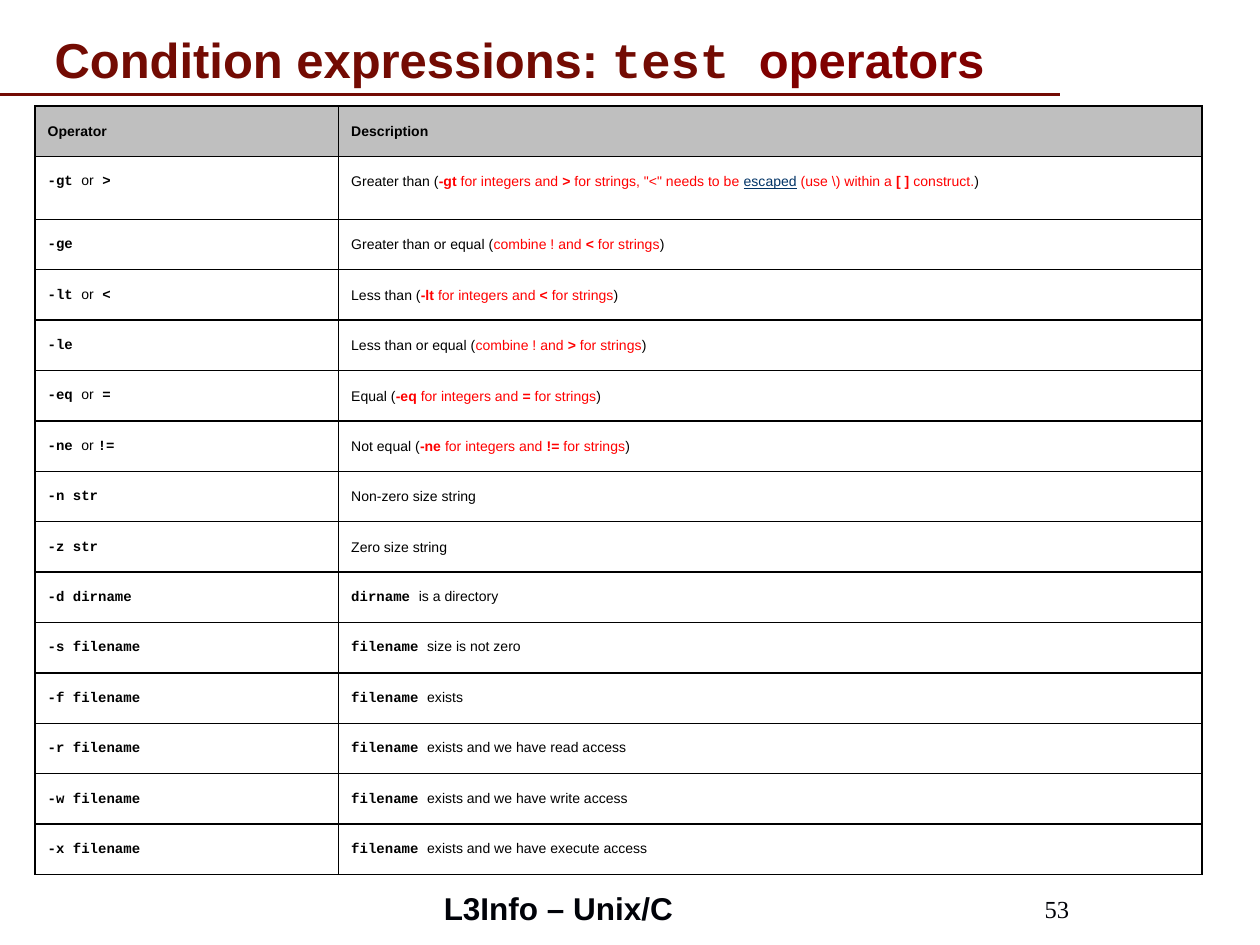
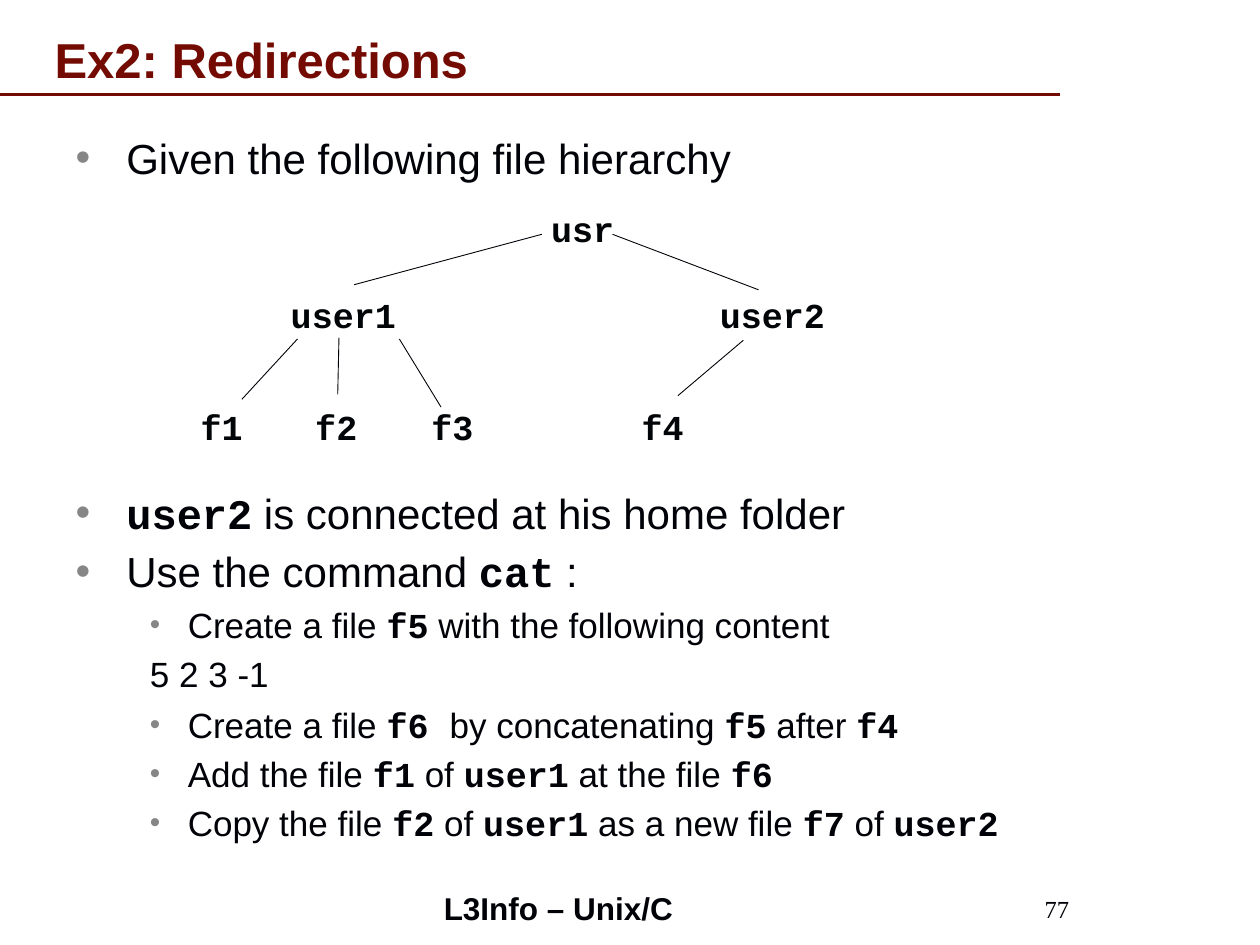
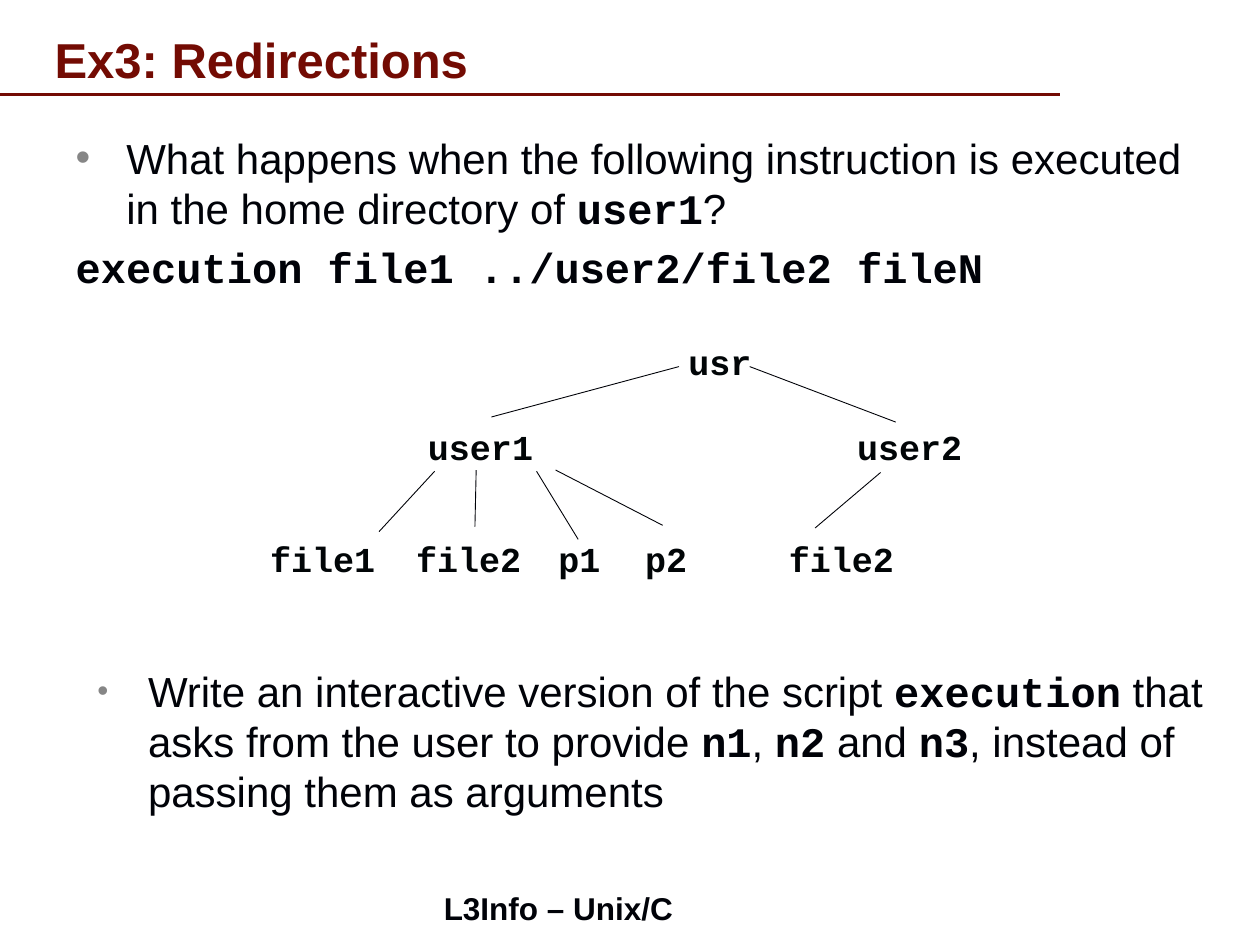
from lxml.etree import SubElement
from pptx import Presentation
from pptx.dml.color import RGBColor
from pptx.enum.shapes import MSO_CONNECTOR
from pptx.enum.text import MSO_ANCHOR, MSO_AUTO_SIZE, PP_ALIGN
from pptx.oxml.ns import qn
from pptx.util import Pt

# Shared colours and fonts
DARK_RED = RGBColor(0x73, 0x0B, 0x03)
MAROON = RGBColor(0x80, 0x00, 0x00)
INK = RGBColor(0x00, 0x02, 0x08)
NODE_INK = RGBColor(0x01, 0x05, 0x07)
BLACK = RGBColor(0x00, 0x00, 0x00)
RED = RGBColor(0xFF, 0x00, 0x00)
LINK_BLUE = RGBColor(0x00, 0x33, 0x66)
HEADER_GREY = RGBColor(0xBF, 0xBF, 0xBF)
BULLET_GREY = RGBColor(0x86, 0x86, 0x86)
SANS, MONO, SERIF = "Arial", "Courier New", "Times New Roman"

# Boxes: left, top, width, height in points
TITLE_BOX = (24, 12, 612, 42)
BODY_BOX = (36, 72, 650, 414)
FOOTER_BOX = (246.5, 504, 228, 30)
NUMBER_BOX = (499, 504, 119, 30)
TABLE_BOX = (20, 60.5, 667, 439)
QUESTION_BOX = (48.5, 376.5, 650, 143)

TITLE_ONLY, TITLE_AND_BODY = 5, 1

# Markup: `code`, *bold*, ~accent colour~, _underlined term_
MARKERS = "`*~_"

OPERATORS = [
    ("*Operator*", "*Description*"),
    ("`-gt `or` >`", 'Greater than (~*-gt *for integers and *>* for strings, "<" needs to be ~'
     "_escaped_~ (use \\) within a *[ ]* construct.~)"),
    ("`-ge `", "Greater than or equal (~combine ! and *<* for strings~)"),
    ("`-lt `or` <`", "Less than (~*-lt *for integers and *<* for strings~)"),
    ("`-le`", "Less than or equal (~combine ! and *>* for strings~)"),
    ("`-eq `or` =`", "Equal (~*-eq *for integers and *=* for strings~)"),
    ("`-ne `or `!=`", "Not equal (~*-ne *for integers and *!=* for strings~)"),
    ("`-n str`", "Non-zero size string"),
    ("`-z str`", "Zero size string"),
    ("`-d dirname`", "`dirname `is a directory"),
    ("`-s filename`", "`filename `size is not zero"),
    ("`-f filename`", "`filename `exists"),
    ("`-r filename`", "`filename `exists and we have read access"),
    ("`-w filename`", "`filename `exists and we have write access"),
    ("`-x filename`", "`filename `exists and we have execute access"),
]

# Tree parts relative to the tree's corner: nodes are (text, left, top, width)
LEAF_TOP = 113
TREE_NODES = [("usr", 188.6, 0, 68.4), ("user1", 44.6, 49, 82.8), ("user2", 275.8, 49, 110.9)]
TREE_EDGES = [
    (92.2, 47.5, 199.4, 18.7), (239.8, 18.7, 323.3, 50.4), (28, 113, 59.8, 78.5),
    (82.8, 110.2, 83.5, 77.8), (118, 78.5, 141.8, 117.4), (277.2, 110.9, 314.6, 79.2),
]


def add_text(paragraph, text, size=24, color=INK, accent=RED, font=SANS, bold=False):
    """Write marked-up text as formatted runs."""
    active = set()

    def flush(piece):
        if not piece:
            return
        run = paragraph.add_run()
        run.text = piece
        run.font.size = Pt(size)
        run.font.name = MONO if "`" in active else font
        run.font.bold = bold or bool(active & {"`", "*"})
        run.font.color.rgb = (LINK_BLUE if "_" in active
                              else accent if "~" in active else color)
        if "_" in active:
            run.font.underline = True

    piece = ""
    for character in text:
        if character in MARKERS:
            flush(piece)
            piece = ""
            active ^= {character}
        else:
            piece += character
    flush(piece)


def place(shape, box):
    shape.left, shape.top, shape.width, shape.height = map(Pt, box)


def set_bullet(paragraph, left, hanging=0, percent=100):
    """Indent a paragraph; a hanging indent brings a grey bullet."""
    properties = paragraph._p.get_or_add_pPr()
    properties.set("marL", str(Pt(left)))
    properties.set("indent", str(-Pt(hanging)))
    if not hanging:
        SubElement(properties, qn("a:buNone"))
        return
    color = SubElement(properties, qn("a:buClr"))
    SubElement(color, qn("a:srgbClr")).set("val", str(BULLET_GREY))
    SubElement(properties, qn("a:buSzPct")).set("val", str(percent * 1000))
    SubElement(properties, qn("a:buFont")).set("typeface", SANS)
    SubElement(properties, qn("a:buChar")).set("char", "•")


def add_line(slide, start_x, start_y, end_x, end_y, color, width):
    line = slide.shapes.add_connector(
        MSO_CONNECTOR.STRAIGHT, Pt(start_x), Pt(start_y), Pt(end_x), Pt(end_y))
    line.line.color.rgb = color
    line.line.width = Pt(width)
    SubElement(line._element.spPr, qn("a:effectLst"))


def add_label(slide, box, text, align=PP_ALIGN.LEFT, anchor=MSO_ANCHOR.TOP, inset=7.2, **style):
    shape = slide.shapes.add_textbox(*map(Pt, box))
    frame = shape.text_frame
    frame.word_wrap = True
    frame.vertical_anchor = anchor
    frame.margin_left = frame.margin_right = Pt(inset)
    paragraph = frame.paragraphs[0]
    paragraph.alignment = align
    add_text(paragraph, text, **style)
    return paragraph


def add_slide(presentation, layout, title, number=None):
    """Start a slide with its title, rule and footer."""
    slide = presentation.slides.add_slide(presentation.slide_layouts[layout])
    add_line(slide, 0, 54, 606, 54, DARK_RED, 2.25)
    place(slide.shapes.title, TITLE_BOX)
    frame = slide.shapes.title.text_frame
    frame.auto_size = MSO_AUTO_SIZE.NONE
    frame.vertical_anchor = MSO_ANCHOR.BOTTOM
    frame.paragraphs[0].alignment = PP_ALIGN.LEFT
    add_text(frame.paragraphs[0], title, size=28, color=DARK_RED, accent=MAROON, bold=True)
    add_label(slide, FOOTER_BOX, "L3Info – Unix/C", anchor=MSO_ANCHOR.MIDDLE, size=18, bold=True)
    if number:
        add_label(slide, NUMBER_BOX, number, align=PP_ALIGN.RIGHT,
                  anchor=MSO_ANCHOR.MIDDLE, size=14, font=SERIF)
    return slide


def fill_body(slide, items):
    """Fill the body with (text, level, has bullet, space before)."""
    body = slide.placeholders[1]
    place(body, BODY_BOX)
    frame = body.text_frame
    frame.auto_size = MSO_AUTO_SIZE.NONE
    for index, (text, level, has_bullet, space) in enumerate(items):
        paragraph = frame.paragraphs[0] if index == 0 else frame.add_paragraph()
        paragraph.level = level
        hanging = (29, 21.6)[level] if has_bullet else 0
        set_bullet(paragraph, (0, 42.5)[level] + hanging, hanging, (100, 85)[level])
        paragraph.space_before = Pt(space)
        add_text(paragraph, text, size=(24, 20)[level])


def set_borders(cell):
    properties = cell._tc.get_or_add_tcPr()
    for index, side in enumerate(("lnL", "lnR", "lnT", "lnB")):
        border = properties.makeelement(qn(f"a:{side}"), {"w": str(Pt(1))})
        fill = SubElement(border, qn("a:solidFill"))
        SubElement(fill, qn("a:srgbClr")).set("val", str(BLACK))
        properties.insert(index, border)


def add_operator_table(slide, box):
    table = slide.shapes.add_table(len(OPERATORS), 2, *map(Pt, box)).table
    table.first_row = table.horz_banding = False
    table.columns[0].width = Pt(173.5)
    table.columns[1].width = Pt(box[2] - 173.5)
    for row_index, texts in enumerate(OPERATORS):
        table.rows[row_index].height = Pt(36 if row_index == 1 else 28.8)
        for column_index, text in enumerate(texts):
            cell = table.cell(row_index, column_index)
            if row_index == 0:
                cell.fill.solid()
                cell.fill.fore_color.rgb = HEADER_GREY
            else:
                cell.fill.background()
            set_borders(cell)
            paragraph = cell.text_frame.paragraphs[0]
            paragraph.line_spacing = Pt(15.6)
            add_text(paragraph, text, size=8, color=BLACK)


def add_tree(slide, left, top, leaves, extra_edges=()):
    """Draw the file hierarchy; leaves are (text, left, width)."""
    leaf_nodes = [(text, x, LEAF_TOP, width) for text, x, width in leaves]
    for text, x, y, width in TREE_NODES + leaf_nodes:
        add_label(slide, (left + x, top + y, width, 29), text, align=PP_ALIGN.CENTER,
                  inset=1.44, size=20, color=NODE_INK, font=MONO, bold=True)
    for start_x, start_y, end_x, end_y in [*TREE_EDGES, *extra_edges]:
        add_line(slide, left + start_x, top + start_y, left + end_x, top + end_y, INK, 0.5)


def build_operators(presentation):
    slide = add_slide(presentation, TITLE_ONLY,
                      "Condition expressions: `test `~operators~", "53")
    add_operator_table(slide, TABLE_BOX)


def build_exercise_two(presentation):
    slide = add_slide(presentation, TITLE_AND_BODY, "Ex2: Redirections", "77")
    fill_body(slide, [
        ("Given the following file hierarchy", 0, True, 0),
        ("`user2` is connected at his home folder", 0, True, 174),
        ("Use the command `cat` :", 0, True, 4.8),
        ("Create a file `f5` with the following content", 1, True, 4),
        ("5 2 3 -1", 1, False, 4),
        ("Create a file `f6 `by concatenating `f5` after `f4`", 1, True, 5),
        ("Add the file `f1` of `user1` at the file `f6`", 1, True, 4),
        ("Copy the file `f2` of `user1` as a new file `f7` of `user2`", 1, True, 4),
    ])
    add_tree(slide, 110.2, 115.2,
             [("f1", 0, 33), ("f2", 65.5, 33), ("f3", 131.8, 33), ("f4", 252, 33)])


def build_exercise_three(presentation):
    slide = add_slide(presentation, TITLE_AND_BODY, "Ex3: Redirections")
    fill_body(slide, [
        ("What happens when the following instruction is executed in the home directory of "
         "`user1`?", 0, True, 0),
        ("`execution file1 ../user2/file2 fileN`", 0, False, 4.8),
    ])
    add_tree(slide, 188.6, 190.8,
             [("file1", -41.7, 75), ("file2", 38.2, 82), ("p1", 126, 33),
              ("p2", 162, 60), ("file2", 252, 80.6)],
             extra_edges=[(128.9, 77.8, 190.1, 109.4)])
    question = add_label(
        slide, QUESTION_BOX,
        "Write an interactive version of the script `execution` that asks from the user to "
        "provide `n1`, `n2` and `n3`, instead of passing them as arguments")
    set_bullet(question, 29, 29, 75)


def main():
    presentation = Presentation()
    presentation.slide_width, presentation.slide_height = Pt(720), Pt(540)
    build_operators(presentation)
    build_exercise_two(presentation)
    build_exercise_three(presentation)
    presentation.save("out.pptx")


if __name__ == "__main__":
    main()
